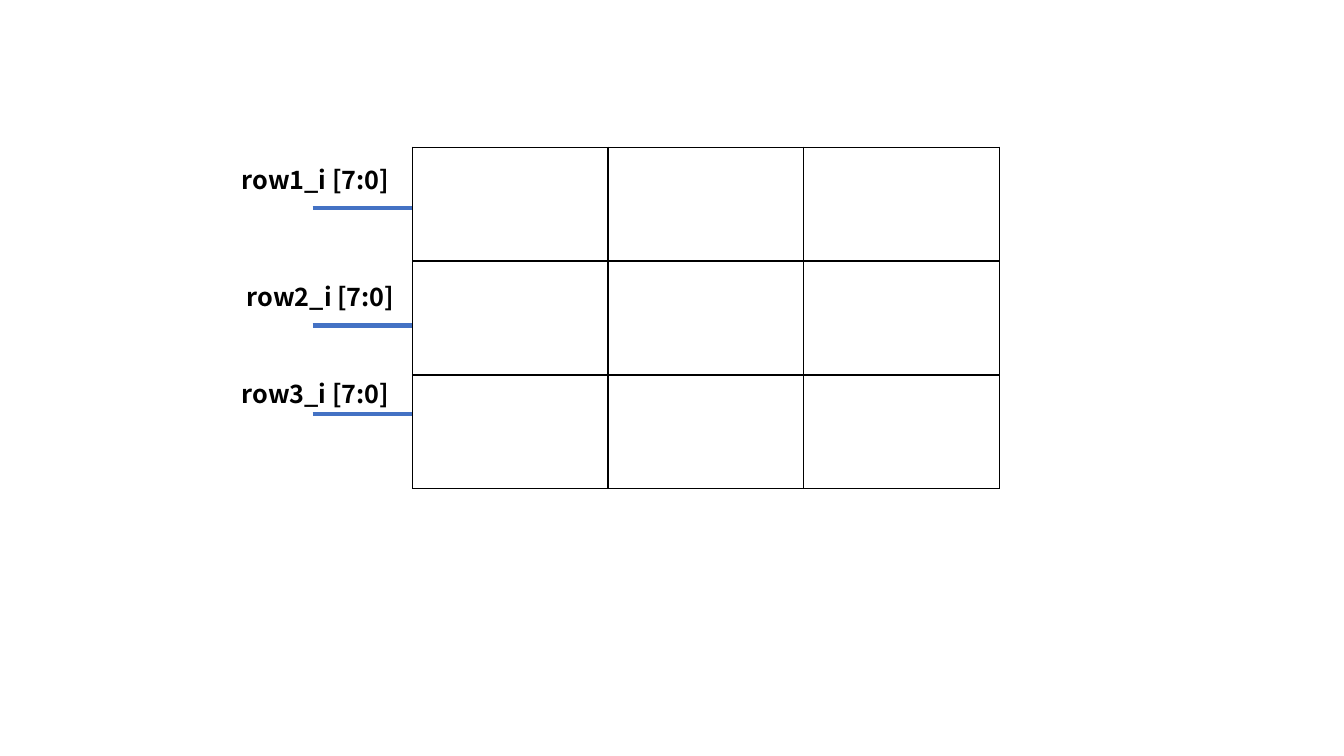
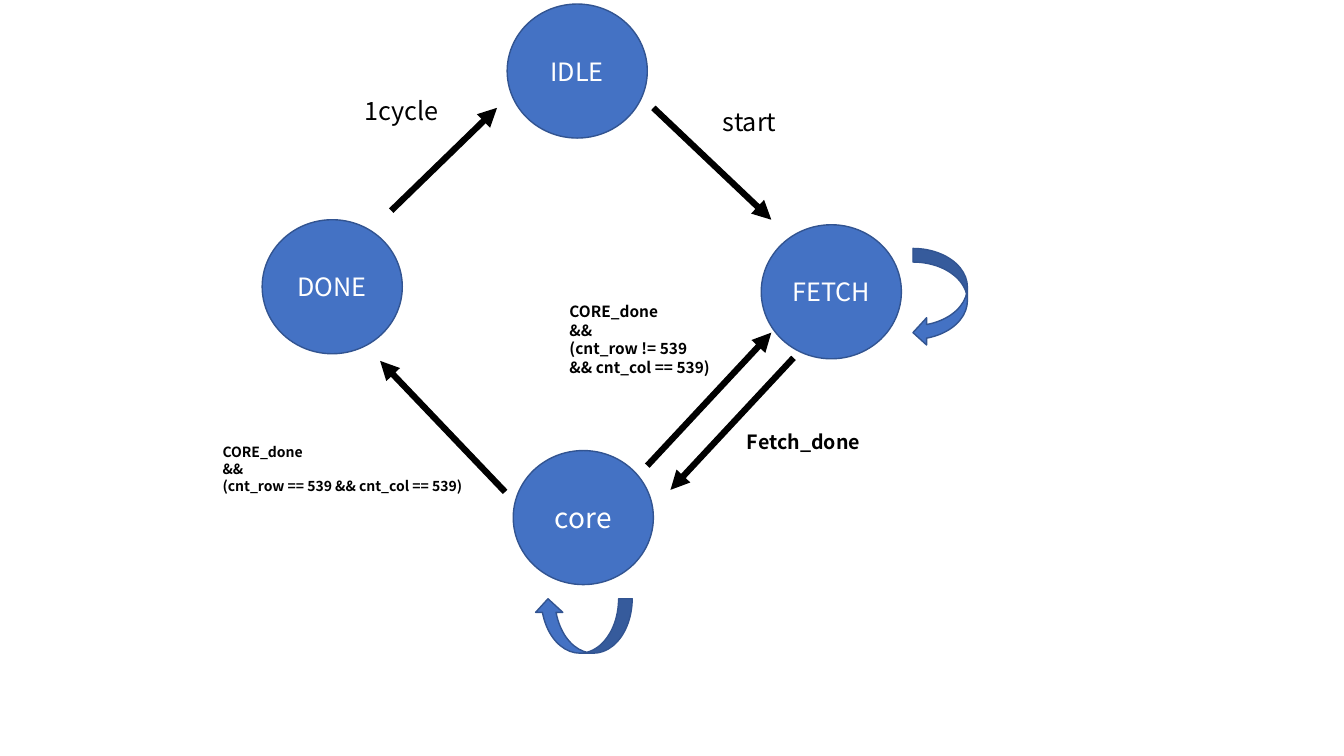
from dataclasses import dataclass

from lxml import etree
from pptx import Presentation
from pptx import util as u
from pptx.dml.color import RGBColor
from pptx.enum import shapes, text
from pptx.oxml import ns
from pptx.slide import Slide

PX = 9144  # EMU in one px, 100 px to the inch
FONT = "Noto Sans CJK KR"
BLACK = RGBColor(0x00, 0x00, 0x00)
WHITE = RGBColor(0xFF, 0xFF, 0xFF)
BLUE = RGBColor(0x44, 0x72, 0xC4)
NAVY = RGBColor(0x32, 0x54, 0x91)

# Table grid
LEFT, TOP = 409, 146
COL, ROW = 194, 113
SIZE = 3

# State circles and loop arrows
WIDE, HIGH = 139, 133
LOOP_W, LOOP_H = 97, 54


@dataclass(frozen=True)
class Label:
    x: int
    y: int
    w: int
    h: int
    lines: tuple[str, ...]
    size: int = 18
    bold: bool = True


@dataclass(frozen=True)
class State:
    x: int
    y: int
    name: str
    size: int = 18


@dataclass(frozen=True)
class Line:
    x1: int
    y1: int
    x2: int
    y2: int


@dataclass(frozen=True)
class Loop:
    x: int
    y: int
    turn: int


WIRES = tuple(Line(310, y, LEFT, y) for y in (206, 323, 411))
INPUTS = tuple(
    Label(x, y, 218, 40, (f"row{n}_i [7:0]",))
    for n, (x, y) in enumerate(((230, 158), (235, 274), (230, 370)), 1)
)

STATES = (
    State(503, 4, "IDLE"),
    State(755, 223, "FETCH"),
    State(509, 447, "core", 20),
    State(260, 218, "DONE"),
)
MOVES = (
    Line(648, 107, 765, 218),
    Line(787, 355, 665, 486),
    Line(388, 209, 493, 107),
    Line(501, 488, 377, 358),
    Line(642, 462, 765, 330),
)
LOOPS = (Loop(884, 268, 90), Loop(530, 594, 180))
RULES = (
    Label(352, 90, 102, 40, ("1cycle",), bold=False),
    Label(707, 101, 109, 40, ("start",), bold=False),
    Label(731, 422, 167, 34, ("Fetch_done",), 14),
    Label(555, 295, 190, 84,
          ("CORE_done", "&&", "(cnt_row != 539", "&& cnt_col == 539)"), 11),
    Label(211, 435, 280, 61,
          ("CORE_done", "&&", "(cnt_row == 539 && cnt_col == 539)"), 10),
)


def px(*vals: int) -> list[u.Emu]:
    return [u.Emu(v * PX) for v in vals]


def add_run(para, words: str, size: int, color: RGBColor, bold: bool = False) -> None:
    run = para.add_run()
    run.text = words
    font = run.font
    font.name, font.size, font.bold = FONT, u.Pt(size), bold
    font.color.rgb = color


def add_label(slide: Slide, label: Label) -> None:
    frame = slide.shapes.add_textbox(*px(label.x, label.y, label.w, label.h)).text_frame
    frame.word_wrap = True
    frame.auto_size = text.MSO_AUTO_SIZE.SHAPE_TO_FIT_TEXT
    for i, words in enumerate(label.lines):
        para = frame.add_paragraph() if i else frame.paragraphs[0]
        add_run(para, words, label.size, BLACK, label.bold)


def add_line(slide: Slide, line: Line, color: RGBColor, width: float,
             arrow: bool = False) -> None:
    link = slide.shapes.add_connector(
        shapes.MSO_CONNECTOR.STRAIGHT, *px(line.x1, line.y1, line.x2, line.y2))
    link.line.color.rgb = color
    link.line.width = u.Pt(width)
    props = link._element.spPr
    if arrow:
        tail = etree.SubElement(props.find(ns.qn("a:ln")), ns.qn("a:tailEnd"))
        tail.set("type", "triangle")
    etree.SubElement(props, ns.qn("a:effectLst"))


def add_form(slide: Slide, kind: shapes.MSO_SHAPE, x: int, y: int, w: int, h: int):
    form = slide.shapes.add_shape(kind, *px(x, y, w, h))
    form.shadow.inherit = False
    form.fill.solid()
    form.fill.fore_color.rgb = BLUE
    form.line.color.rgb = NAVY
    form.line.width = u.Pt(1)
    return form


def add_state(slide: Slide, state: State) -> None:
    form = add_form(slide, shapes.MSO_SHAPE.OVAL, state.x, state.y, WIDE, HIGH)
    frame = form.text_frame
    frame.vertical_anchor = text.MSO_ANCHOR.MIDDLE
    para = frame.paragraphs[0]
    para.alignment = text.PP_ALIGN.CENTER
    add_run(para, state.name, state.size, WHITE)


def add_loop(slide: Slide, loop: Loop) -> None:
    form = add_form(slide, shapes.MSO_SHAPE.CURVED_DOWN_ARROW,
                    loop.x, loop.y, LOOP_W, LOOP_H)
    form.rotation = loop.turn


def add_edges(cell) -> None:
    props = cell._tc.get_or_add_tcPr()
    for side in ("lnL", "lnR", "lnT", "lnB"):
        edge = etree.SubElement(props, ns.qn(f"a:{side}"), w=str(u.Pt(1)))
        fill = etree.SubElement(edge, ns.qn("a:solidFill"))
        etree.SubElement(fill, ns.qn("a:srgbClr"), val=str(BLACK))


def add_grid(slide: Slide) -> None:
    table = slide.shapes.add_table(
        SIZE, SIZE, *px(LEFT, TOP, SIZE * COL, SIZE * ROW)).table
    table.first_row = table.horz_banding = False
    for col in table.columns:
        col.width = px(COL)[0]
    for row in table.rows:
        row.height = px(ROW)[0]
    for cell in table.iter_cells():
        add_edges(cell)
        cell.fill.background()


def draw_rows(slide: Slide) -> None:
    add_grid(slide)
    for wire, label in zip(WIRES, INPUTS):
        add_line(slide, wire, BLUE, 3)
        add_label(slide, label)


def draw_states(slide: Slide) -> None:
    for state in STATES:
        add_state(slide, state)
    for move in MOVES:
        add_line(slide, move, BLACK, 4.5, arrow=True)
    for loop in LOOPS:
        add_loop(slide, loop)
    for rule in RULES:
        add_label(slide, rule)


def main() -> None:
    deck = Presentation()
    deck.slide_width, deck.slide_height = px(1333, 750)
    blank = deck.slide_layouts[6]
    for draw in (draw_rows, draw_states):
        draw(deck.slides.add_slide(blank))
    deck.save("out.pptx")


if __name__ == "__main__":
    main()
